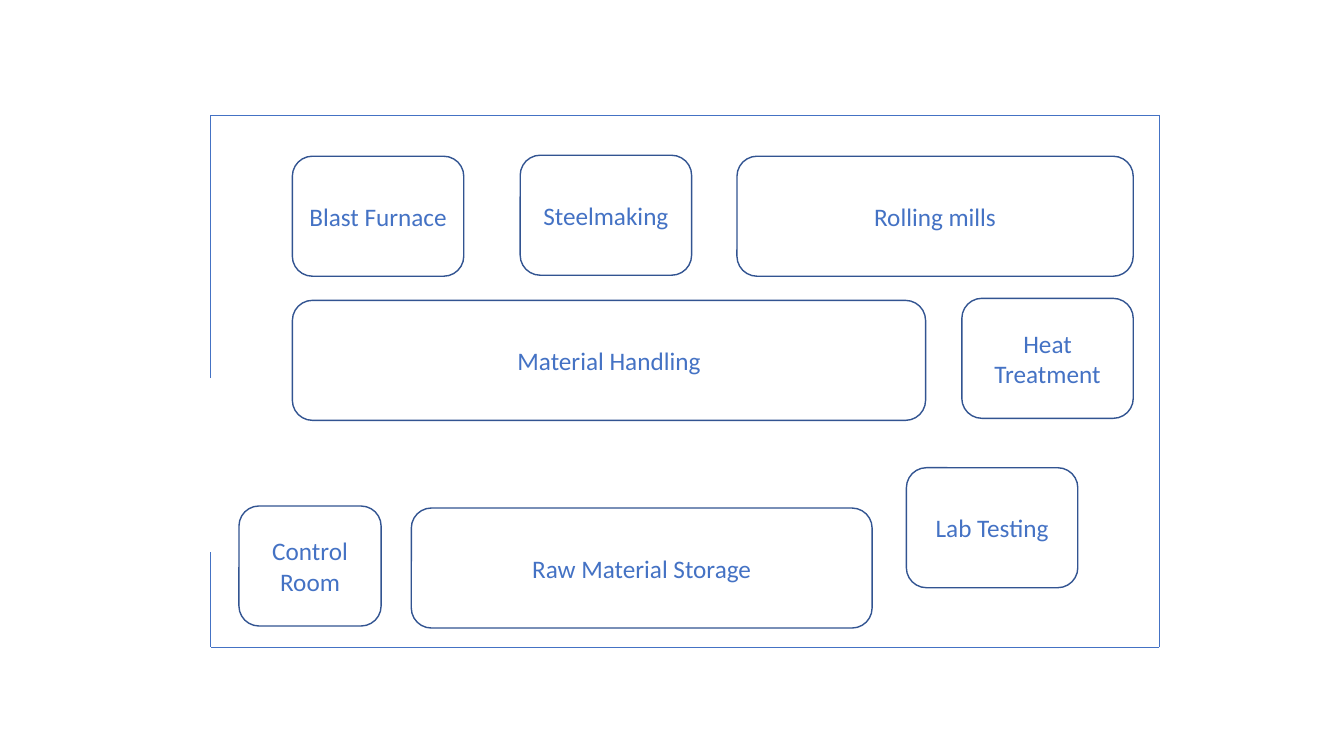
"""Build a one-slide floor plan of a steel plant."""
from itertools import pairwise

from lxml.etree import SubElement
from pptx import Presentation
from pptx.dml.color import RGBColor
from pptx.enum.shapes import MSO_CONNECTOR as Connector, MSO_SHAPE as Shape
from pptx.enum.text import MSO_ANCHOR as Anchor, PP_ALIGN as Align
from pptx.oxml.ns import qn
from pptx.util import Inches, Pt

BLUE, NAVY = "4472C4", "325491"
LEFT, TOP, RIGHT, BOTTOM = 2.09, 1.14, 11.5, 6.42
GATE_TOP, GATE_BOTTOM = 3.75, 5.48
WALL_CORNERS = [
    (LEFT, GATE_TOP), (LEFT, TOP), (RIGHT, TOP),
    (RIGHT, BOTTOM), (LEFT, BOTTOM), (LEFT, GATE_BOTTOM),
]

ROOM_WIDTH, ROOM_HEIGHT = 1.7, 1.19
FIRST_COLUMN, LAST_EDGE = 2.9, 11.24
ROOMS = [
    ("Blast Furnace", FIRST_COLUMN, 1.55, ROOM_WIDTH),
    ("Steelmaking", 5.16, 1.54, ROOM_WIDTH),
    ("Rolling mills", 7.31, 1.55, LAST_EDGE - 7.31),
    ("Heat Treatment", LAST_EDGE - ROOM_WIDTH, 2.96, ROOM_WIDTH),
    ("Lab Testing", 8.99, 4.64, ROOM_WIDTH),
    ("Material Handling", FIRST_COLUMN, 2.98, 6.28),
    ("Control Room", 2.37, 5.02, 1.41),
    ("Raw Material Storage", 4.08, 5.04, 4.57),
]


def color(value):
    """Turn a hex string into a colour."""
    return RGBColor.from_string(value)


def style_line(line, value, width):
    """Set the colour and point width of a line."""
    line.color.rgb = color(value)
    line.width = Pt(width)


def write(box, text, size=18, font="Calibri", value=BLUE, align=Align.CENTER):
    """Write one formatted paragraph in the middle of a box."""
    frame = box.text_frame
    frame.word_wrap = True
    frame.vertical_anchor = Anchor.MIDDLE
    para = frame.paragraphs[0]
    para.alignment = align
    span = para.add_run()
    span.text = text
    span.font.size = Pt(size)
    span.font.name = font
    span.font.color.rgb = color(value)


def add_wall(page, start, end):
    """Draw one straight wall between two corners."""
    ends = [Inches(length) for length in (*start, *end)]
    wall = page.shapes.add_connector(Connector.STRAIGHT, *ends)
    style_line(wall.line, BLUE, 0.5)
    SubElement(wall._element.spPr, qn("a:effectLst"))


def add_room(page, name, left, top, width):
    """Draw one named room with rounded corners."""
    place = [Inches(length) for length in (left, top, width, ROOM_HEIGHT)]
    room = page.shapes.add_shape(Shape.ROUNDED_RECTANGLE, *place)
    room.shadow.inherit = False
    room.fill.background()
    style_line(room.line, NAVY, 1)
    write(room, name)


def main():
    """Build and save the deck."""
    deck = Presentation()
    deck.slide_width, deck.slide_height = Inches(13.33), Inches(7.5)
    page = deck.slides.add_slide(deck.slide_layouts[6])
    for start, end in pairwise(WALL_CORNERS):
        add_wall(page, start, end)
    for room in ROOMS:
        add_room(page, *room)
    deck.save("out.pptx")


if __name__ == "__main__":
    main()
